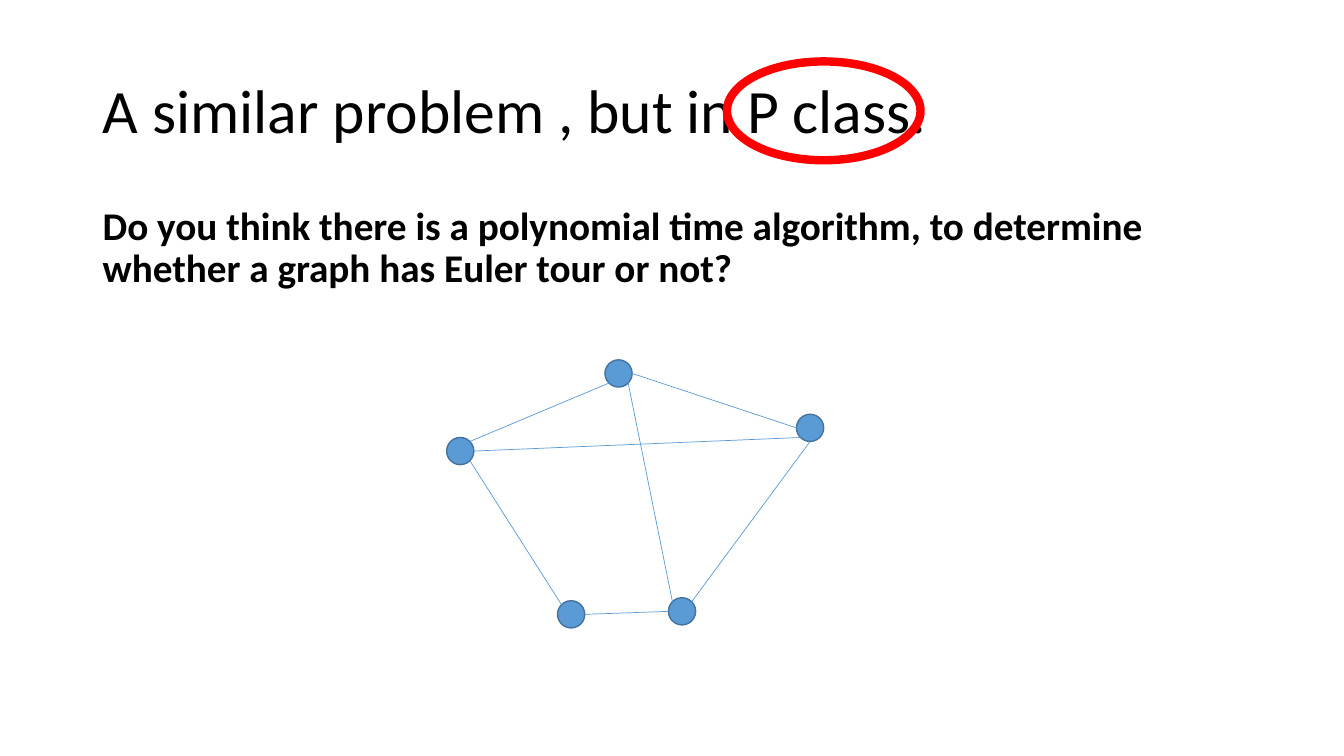
import math
from dataclasses import dataclass

from lxml import etree
from pptx import Presentation
from pptx import util as u
from pptx.dml.color import RGBColor
from pptx.enum import shapes, text
from pptx.oxml.ns import qn

COLORS = {
    "text": "000000",
    "node": "5B9BD5",
    "node_line": "43739E",
    "edge": "5B9BD5",
    "highlight": "FF0000",
}
FONT = "Calibri"
NODE_SIZE = 0.27
SITES = ["E", "SE", "S", "SW", "W", "NW", "N", "NE"]


@dataclass(frozen=True)
class Node:
    left: float
    top: float

    def site(self, name: str) -> tuple[float, float]:
        angle = SITES.index(name) * math.pi / 4
        radius = NODE_SIZE / 2
        return (
            self.left + radius * (1 + math.cos(angle)),
            self.top + radius * (1 + math.sin(angle)),
        )


@dataclass(frozen=True)
class Edge:
    start: str
    start_site: str
    end: str
    end_site: str


NODES = {
    "left": Node(4.43, 4.34),
    "top": Node(6, 3.57),
    "right": Node(7.9, 4.11),
    "lower_right": Node(6.63, 5.93),
    "lower_left": Node(5.53, 5.96),
}
EDGES = [
    Edge("left", "NE", "top", "SW"),
    Edge("top", "E", "right", "W"),
    Edge("right", "S", "lower_right", "NE"),
    Edge("lower_left", "E", "lower_right", "W"),
    Edge("left", "SE", "lower_left", "NW"),
    Edge("top", "SE", "lower_right", "NW"),
    Edge("left", "E", "right", "SW"),
]


def rgb(name: str) -> RGBColor:
    return RGBColor.from_string(COLORS[name])


def set_line(sp, color: str, width: float) -> None:
    sp.line.color.rgb = rgb(color)
    sp.line.width = u.Pt(width)


def write_text(sp, words: str, size: int, bold: bool, anchor) -> None:
    tf = sp.text_frame
    tf.word_wrap = True
    tf.auto_size = text.MSO_AUTO_SIZE.NONE
    tf.vertical_anchor = anchor
    p = tf.paragraphs[0]
    p.text = words
    p.alignment = text.PP_ALIGN.LEFT
    p.line_spacing = 0.9
    p.font.name = FONT
    p.font.size = u.Pt(size)
    p.font.bold = bold
    p.font.color.rgb = rgb("text")


def add_ellipse(slide, left: float, top: float, width: float, height: float):
    sp = slide.shapes.add_shape(
        shapes.MSO_SHAPE.OVAL, *map(u.Inches, (left, top, width, height))
    )
    sp.shadow.inherit = False
    return sp


def add_node(slide, node: Node) -> None:
    sp = add_ellipse(slide, node.left, node.top, NODE_SIZE, NODE_SIZE)
    sp.fill.solid()
    sp.fill.fore_color.rgb = rgb("node")
    set_line(sp, "node_line", 1)


def add_edge(slide, edge: Edge) -> None:
    start = NODES[edge.start].site(edge.start_site)
    end = NODES[edge.end].site(edge.end_site)
    sp = slide.shapes.add_connector(
        shapes.MSO_CONNECTOR.STRAIGHT, *map(u.Inches, start + end)
    )
    set_line(sp, "edge", 0.5)
    etree.SubElement(sp._element.spPr, qn("a:effectLst"))


def main() -> None:
    prs = Presentation()
    prs.slide_width = u.Inches(13.33)
    prs.slide_height = u.Inches(7.5)
    slide = prs.slides.add_slide(prs.slide_layouts.get_by_name("Title Only"))

    title = slide.shapes.title
    title.left, title.top = u.Inches(0.92), u.Inches(0.4)
    title.width, title.height = u.Inches(11.5), u.Inches(1.45)
    write_text(
        title, "A similar problem , but in P class.", 44, False, text.MSO_ANCHOR.MIDDLE
    )

    question = slide.shapes.add_textbox(*map(u.Inches, (0.92, 2, 11.5, 4.76)))
    write_text(
        question,
        "Do you think there is a polynomial time algorithm, "
        "to determine whether a graph has Euler tour or not?",
        28,
        True,
        text.MSO_ANCHOR.TOP,
    )
    question.text_frame.paragraphs[0].space_before = u.Pt(10)

    for node in NODES.values():
        add_node(slide, node)
    for edge in EDGES:
        add_edge(slide, edge)

    highlight = add_ellipse(slide, 7.21, 0.61, 1.92, 0.98)
    highlight.fill.background()
    set_line(highlight, "highlight", 6)

    prs.save("out.pptx")


if __name__ == "__main__":
    main()
